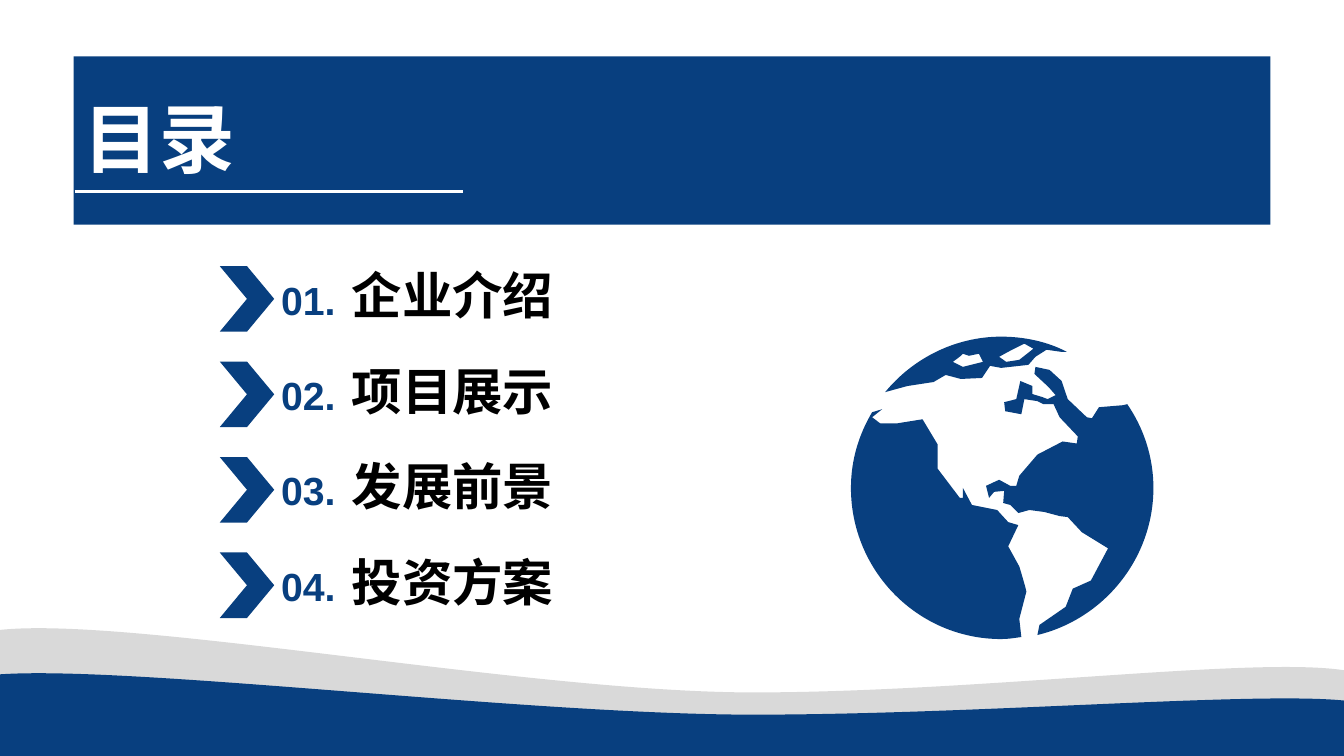
from lxml.etree import SubElement
from pptx import Presentation
from pptx.dml.color import RGBColor as Rgb
from pptx.enum.shapes import MSO_CONNECTOR as Link, MSO_SHAPE as Kind
from pptx.enum.text import MSO_ANCHOR as Anchor
from pptx.oxml.ns import qn
from pptx.util import Inches, Pt

HUES = {"navy": "083F7F", "gray": "D9D9D9", "white": "FFFFFF", "black": "000000"}
TOPICS = ["企业介绍", "项目展示", "发展前景", "投资方案"]
STEP = 0.947

BACK = [
    (0, 6.25), (1.31, 6.11, 5.24, 6.87, 7.47, 6.87),
    (9.7, 6.87, 12.42, 6.51, 13.33, 6.65), (13.33, 6.93, 13.33, 7.22, 13.33, 7.5),
    (0, 7.5), (0, 7.08, 0, 6.66, 0, 6.25),
]
FRONT = [
    (0, 6.69), (1.31, 6.6, 5.24, 7.09, 7.47, 7.09),
    (9.7, 7.09, 12.42, 6.86, 13.33, 6.95), (13.33, 7.13, 13.33, 7.32, 13.33, 7.5),
    (0, 7.5), (0, 7.23, 0, 6.96, 0, 6.69),
]
WEST = [
    (8.75, 4.06), (8.65, 4.14), (8.73, 4.2), (8.9, 4.2), (9.15, 4.16),
    (9.3, 4.41), (9.3, 4.65), (9.52, 4.94), (9.55, 4.94), (9.55, 4.84),
    (9.64, 5.01), (9.89, 5.06), (10, 5.18), (10.1, 5.21), (10, 5.42),
    (10.11, 5.62), (10.11, 5.62, 10.18, 5.85, 10.18, 5.87),
    (10.18, 5.87, 10.11, 6.14, 10.11, 6.14), (10.13, 6.32),
    (10.06, 6.33, 10, 6.34, 9.93, 6.34), (9.11, 6.34, 8.44, 5.67, 8.44, 4.84),
    (8.44, 4.56, 8.52, 4.31, 8.65, 4.09),
]
EAST = [
    (10.27, 3.64), (10.41, 3.67), (10.53, 3.78), (10.56, 3.87), (10.59, 3.96),
    (10.78, 4.14), (10.83, 4.15), (10.9, 4.04), (11.14, 4.02), (11.18, 4.01),
    (11.34, 4.24, 11.44, 4.53, 11.44, 4.84), (11.44, 5.54, 10.95, 6.14, 10.29, 6.3),
    (10.31, 6.2), (10.57, 6.02), (10.64, 5.84), (10.82, 5.76), (10.99, 5.44),
    (10.73, 5.28), (10.59, 5.13), (10.51, 5.12), (10.36, 5.08), (10.21, 5.06),
    (10.1, 5.09), (10.02, 5.01), (9.95, 4.99), (9.96, 4.87), (9.86, 4.88),
    (9.81, 4.94), (9.78, 4.82), (9.91, 4.76), (10.02, 4.82), (10.08, 4.82),
    (10.11, 4.72), (10.29, 4.51), (10.54, 4.38), (10.68, 4.4), (10.69, 4.33),
    (10.51, 4.14), (10.45, 4.01), (10.35, 4.01), (10.29, 3.98), (10.16, 3.96),
    (10.13, 4.11), (9.97, 4.08), (9.96, 3.99), (10.08, 3.96), (10.12, 3.78),
    (10.24, 3.83), (10.24, 3.91), (10.34, 3.94), (10.39, 3.96), (10.47, 3.92),
    (10.4, 3.84), (10.26, 3.71),
]
ISLE = [
    (9.55, 3.51), (9.55, 3.52, 9.45, 3.59, 9.45, 3.59), (9.55, 3.64),
    (9.75, 3.59), (9.71, 3.51), (9.61, 3.53),
]
REEF = [(10.16, 3.41), (10, 3.49), (9.91, 3.54), (9.98, 3.59), (10.11, 3.57), (10.25, 3.46)]
NORTH = [
    (9.93, 3.34), (10.16, 3.34, 10.39, 3.39, 10.58, 3.49), (10.52, 3.49),
    (10.38, 3.47), (10.27, 3.54), (10.2, 3.62), (9.93, 3.65), (9.82, 3.63),
    (9.74, 3.75), (9.53, 3.76), (9.38, 3.72), (9.26, 3.79), (9, 3.83),
    (8.78, 3.89), (9.05, 3.56, 9.47, 3.34, 9.93, 3.34),
]


def paint(shape, hue):
    """Give a shape a flat fill without line or shadow."""
    shape.shadow.inherit = False
    shape.fill.solid()
    shape.fill.fore_color.rgb = Rgb.from_string(HUES[hue])
    shape.line.fill.background()


def trace(track, ring, left, top):
    """Write one closed ring of lines and Bezier curves into a track."""
    for i, part in enumerate(ring):
        tag = "a:moveTo" if i == 0 else "a:lnTo" if len(part) == 2 else "a:cubicBezTo"
        node = SubElement(track, qn(tag))
        for x, y in zip(part[::2], part[1::2]):
            SubElement(node, qn("a:pt"), x=str(Inches(x - left)), y=str(Inches(y - top)))
    SubElement(track, qn("a:close"))


def add_form(slide, box, rings, hue):
    """Draw one freeform from closed rings inside a box."""
    left, top, wide, high = box
    x, y, w, h = map(Inches, box)
    pen = slide.shapes.build_freeform(x, y, scale=1.0)
    pen.add_line_segments([(x + w, y), (x + w, y + h), (x, y + h)], close=True)
    form = pen.convert_to_shape()
    track = next(form._element.iter(qn("a:path")))
    for node in list(track):
        track.remove(node)
    for ring in rings:
        trace(track, ring, left, top)
    paint(form, hue)


def add_block(slide, kind, box, hue):
    """Draw a filled preset shape."""
    paint(slide.shapes.add_shape(kind, *map(Inches, box)), hue)


def add_rule(slide, start, end, hue, width):
    """Draw a straight line."""
    rule = slide.shapes.add_connector(Link.STRAIGHT, *map(Inches, start + end))
    rule.line.color.rgb = Rgb.from_string(HUES[hue])
    rule.line.width = Pt(width)
    SubElement(rule._element.spPr, qn("a:effectLst"))


def add_text(slide, box, text, size, hue, anchor=Anchor.MIDDLE):
    """Place one bold line of text."""
    frame = slide.shapes.add_textbox(*map(Inches, box)).text_frame
    frame.word_wrap = True
    frame.vertical_anchor = anchor
    run = frame.paragraphs[0].add_run()
    run.text = text
    font = run.font
    font.name, font.size, font.bold = "Arial", Pt(size), True
    font.color.rgb = Rgb.from_string(HUES[hue])


def add_topic(slide, row, text):
    """Place one numbered topic with its chevron."""
    drop = row * STEP
    add_text(slide, (2.69, 2.57 + drop, 1.08, 0.8), f"{row + 1:02}.", 28, "navy")
    add_text(slide, (3.39, 2.44 + drop, 3.13, 0.97), text, 36, "black")
    add_block(slide, Kind.CHEVRON, (2.18, 2.64 + drop, 0.54, 0.65), "navy")


def main():
    """Build the contents slide and save it."""
    deck = Presentation()
    deck.slide_width, deck.slide_height = Inches(13.33), Inches(7.5)
    slide = deck.slides.add_slide(deck.slide_layouts[6])
    add_form(slide, (0, 6.23, 13.33, 1.27), [BACK], "gray")
    add_form(slide, (0, 6.68, 13.33, 0.82), [FRONT], "navy")
    add_block(slide, Kind.RECTANGLE, (0.73, 0.56, 11.87, 1.67), "navy")
    add_text(slide, (0.73, 0.86, 3.28, 0.77), "目录", 54, "white", Anchor.TOP)
    add_rule(slide, (0.74, 1.9), (4.59, 1.9), "white", 1.5)
    for row, text in enumerate(TOPICS):
        add_topic(slide, row, text)
    add_form(slide, (8.44, 3.34, 3, 3), [WEST, EAST, ISLE, REEF, NORTH], "navy")
    deck.save("out.pptx")


main()
